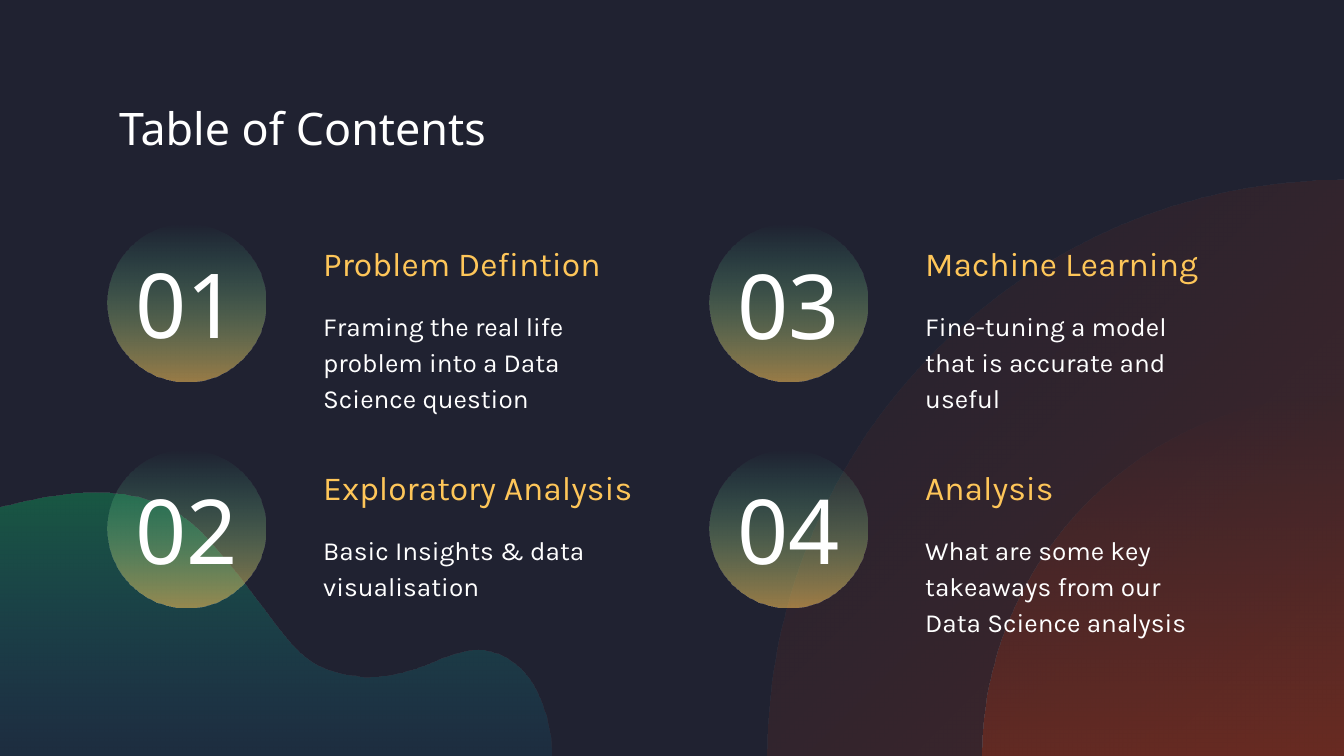
"""Build a dark table-of-contents slide with four numbered topics."""
from collections import namedtuple

from lxml import etree
from pptx import Presentation
from pptx.dml.color import RGBColor
from pptx.enum.shapes import MSO_SHAPE
from pptx.enum.text import MSO_ANCHOR as Anchor, PP_ALIGN as Align
from pptx.oxml import parse_xml
from pptx.oxml.ns import nsdecls, qn
from pptx.util import Inches, Pt

SCALE = 914400 / 134.4
WIDTH, HEIGHT = 1344, 756
NIGHT = RGBColor(0x20, 0x22, 0x31)
WHITE = RGBColor(0xFF, 0xFF, 0xFF)
AMBER = RGBColor(0xFE, 0xC6, 0x59)
MINT = RGBColor(0x4A, 0xFF, 0xC3)
RUST = RGBColor(0x9C, 0x32, 0x18)
GREEN = RGBColor(0x0A, 0xC6, 0x68)
BLUE = RGBColor(0x0A, 0x94, 0xC6)
DISPLAY, BODY = "Noto Sans", "Karla"

LEFTS = (107, 709)
NUMBER_TOPS = (223, 448)
HEADING_TOPS = (224, 447)
SUMMARY_TOPS = (292, 516)
DISC_TOPS = (224, 450)
DISC_SIZE = 158
ARC_PULL = 0.55

WAVE_START = (95, 493)
WAVE_SEGMENTS = [
    ((134, 493), (172, 503), (200, 532)),
    ((286, 625), (285, 668), (355, 676)),
    ((360, 677), (364, 677), (370, 677)),
    ((417, 677), (445, 650), (477, 650)),
    ((485, 650), (495, 652), (504, 657)),
    ((551, 683), (551, 756), (551, 756)),
    ((0, 756),),
    ((0, 508),),
    ((30, 500), (63, 493), WAVE_START),
]

Topic = namedtuple("Topic", "number heading summary column row number_height "
                            "heading_width summary_height")
TOPICS = [
    Topic("01", "Problem Defintion",
          "Framing the real life problem into a Data Science question",
          0, 0, 159, 320, 124),
    Topic("02", "Exploratory Analysis", "Basic Insights & data visualisation",
          0, 1, 162, 348, 89),
    Topic("03", "Machine Learning", "Fine-tuning a model that is accurate and useful",
          1, 0, 162, 320, 89),
    Topic("04", "Analysis", "What are some key takeaways from our Data Science analysis",
          1, 1, 162, 320, 137),
]


def px(length):
    return round(length * SCALE)


def fade(shape, start, end, angle):
    """Fill with a gradient between two (colour, opacity percent) pairs."""
    stops = "".join(
        f'<a:gs pos="{position}"><a:srgbClr val="{colour}">'
        f'<a:alpha val="{opacity * 1000}"/></a:srgbClr></a:gs>'
        for position, (colour, opacity) in ((0, start), (100000, end)))
    gradient = parse_xml(
        f'<a:gradFill {nsdecls("a")} rotWithShape="1"><a:gsLst>{stops}</a:gsLst>'
        f'<a:lin ang="{angle * 60000}" scaled="0"/></a:gradFill>')
    shape.fill.background()
    properties = shape.fill._xPr
    properties.replace(properties.find(qn("a:noFill")), gradient)
    shape.line.fill.background()
    shape.shadow.inherit = False


def add_outline(slide, start, segments):
    """Draw segments of one point as lines and of three points as cubic curves."""
    builder = slide.shapes.build_freeform(*map(px, start))
    builder.add_line_segments(
        [(px(x), px(y)) for segment in segments for x, y in segment], close=True)
    outline = builder.convert_to_shape()
    lines = iter(list(outline.element.iter(qn("a:lnTo"))))
    for segment in segments:
        steps = [next(lines) for _ in segment]
        if len(steps) == 3:
            curve = etree.Element(qn("a:cubicBezTo"))
            steps[0].addprevious(curve)
            for step in steps:
                curve.append(step[0])
                step.getparent().remove(step)
    return outline


def add_quarter(slide, radius, opacity, angle):
    left, top, pull = WIDTH - radius, HEIGHT - radius, radius * ARC_PULL
    arc = ((WIDTH - pull, top), (left, HEIGHT - pull), (left, HEIGHT))
    quarter = add_outline(slide, (WIDTH, HEIGHT), [((WIDTH, top),), arc])
    fade(quarter, (RUST, opacity), (RUST, 0), angle)


def add_disc(slide, left, top):
    disc = slide.shapes.add_shape(
        MSO_SHAPE.OVAL, px(left), px(top), px(DISC_SIZE), px(DISC_SIZE))
    fade(disc, (AMBER, 55), (MINT, 0), 270)


def add_text(slide, box, words, size, font, colour, anchor=Anchor.TOP, align=Align.LEFT):
    frame = slide.shapes.add_textbox(*map(px, box)).text_frame
    frame.word_wrap = True
    frame.vertical_anchor = anchor
    frame.margin_left = frame.margin_right = Inches(0.1)
    frame.margin_top = frame.margin_bottom = Inches(0.1)
    paragraph = frame.paragraphs[0]
    paragraph.text = words
    paragraph.alignment = align
    paragraph.font.size = Pt(size)
    paragraph.font.name = font
    paragraph.font.color.rgb = colour
    return paragraph


def add_topic(slide, topic):
    left, row = LEFTS[topic.column], topic.row
    text_left = left + 203
    add_disc(slide, left + 1, DISC_TOPS[row])
    add_text(slide, (left, NUMBER_TOPS[row], 160, topic.number_height), topic.number,
             48, DISPLAY, WHITE, Anchor.MIDDLE, Align.CENTER)
    heading = add_text(slide, (text_left, HEADING_TOPS[row], topic.heading_width, 69),
                       topic.heading, 18, BODY, AMBER)
    summary = add_text(slide, (text_left, SUMMARY_TOPS[row], 320, topic.summary_height),
                       topic.summary, 14, BODY, WHITE)
    for paragraph in (heading, summary):
        paragraph.line_spacing = 1.15
        paragraph.space_after = Pt(16)


def main():
    deck = Presentation()
    deck.slide_width, deck.slide_height = px(WIDTH), px(HEIGHT)
    slide = deck.slides.add_slide(deck.slide_layouts[6])
    slide.background.fill.solid()
    slide.background.fill.fore_color.rgb = NIGHT
    add_quarter(slide, 576, 30, 225)
    add_quarter(slide, 361, 42, 270)
    fade(add_outline(slide, WAVE_START, WAVE_SEGMENTS), (GREEN, 33), (BLUE, 10), 90)
    add_text(slide, (106, 87, 551, 99), "Table of Contents", 24, DISPLAY, WHITE)
    for topic in TOPICS:
        add_topic(slide, topic)
    deck.save("out.pptx")


main()
